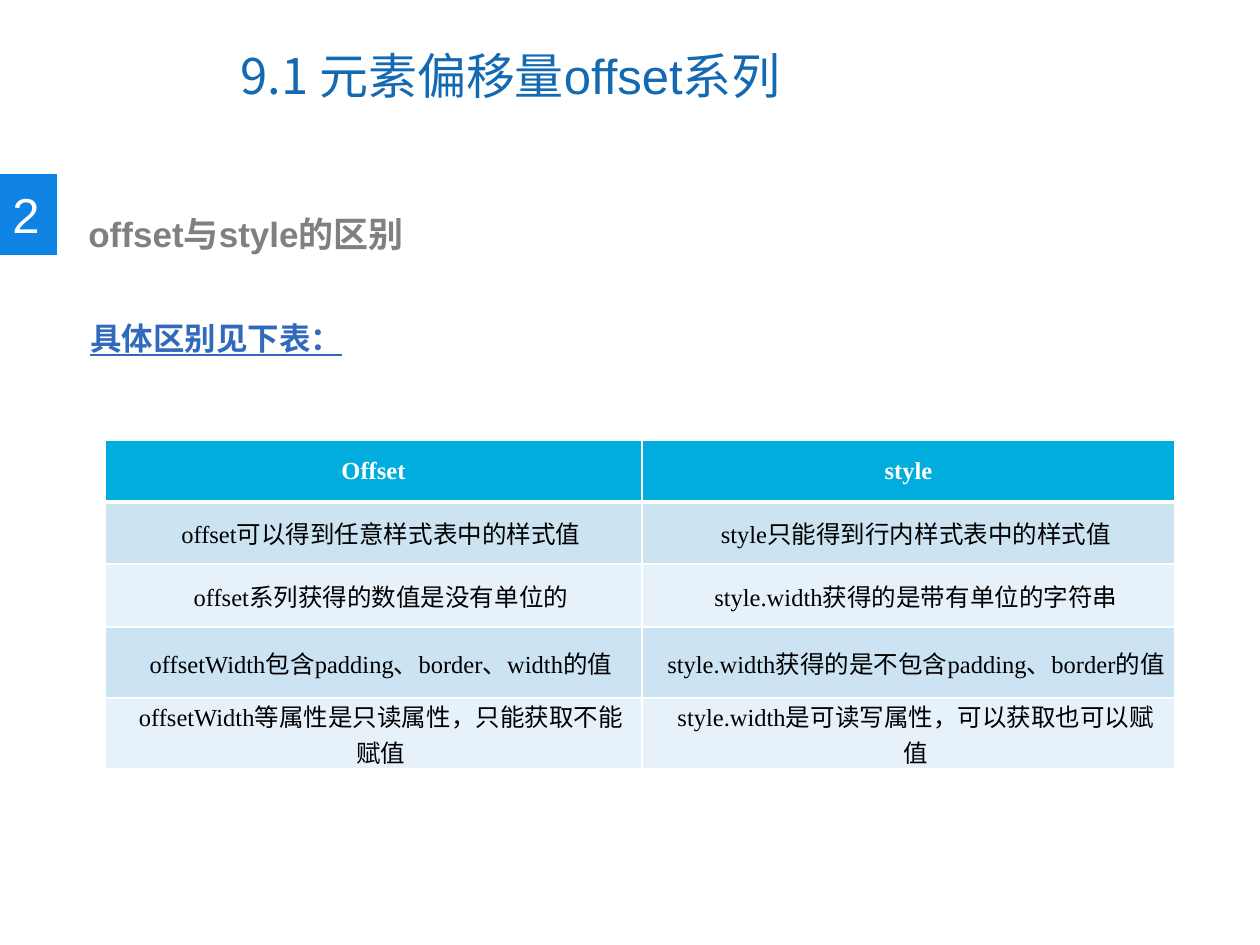
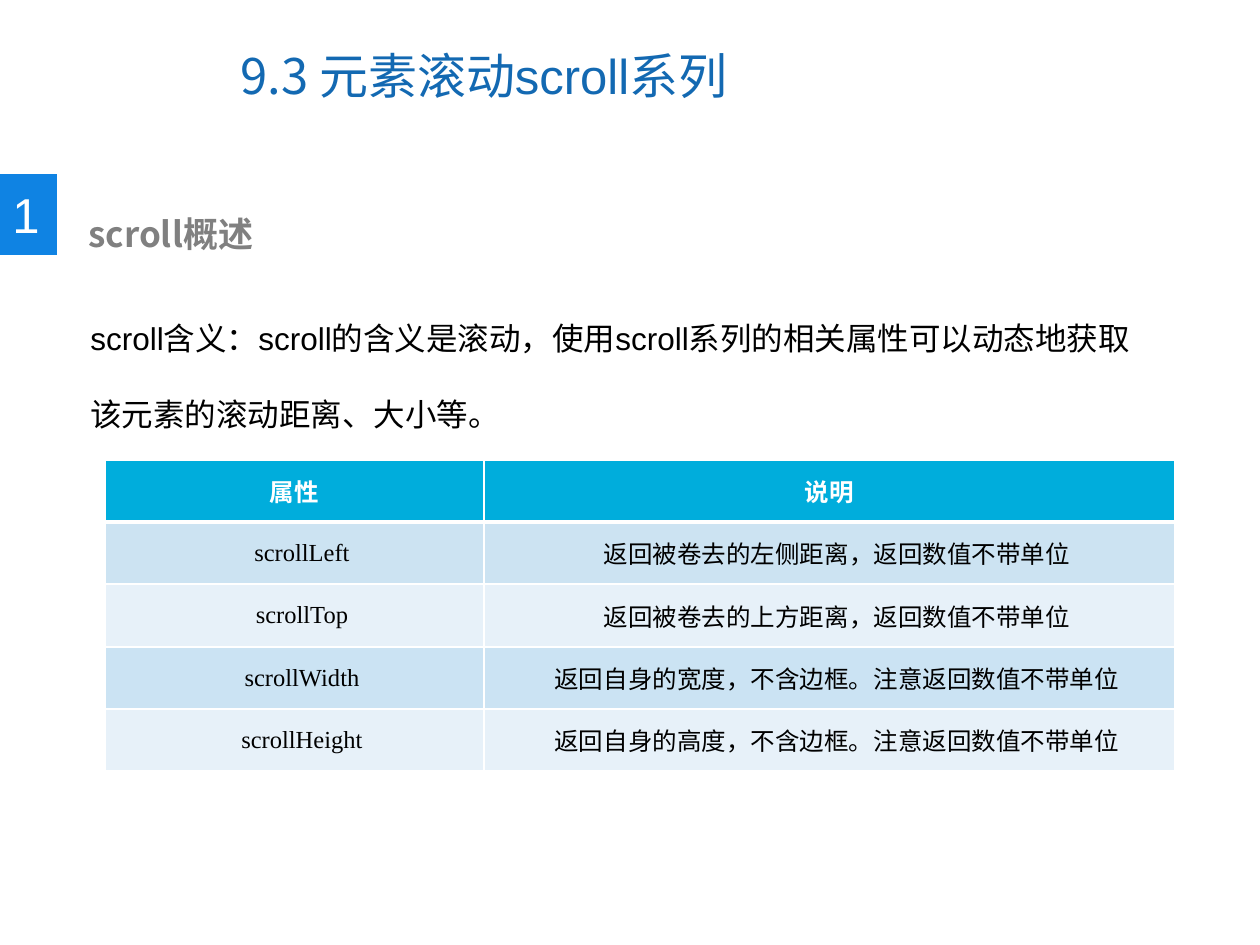
from dataclasses import dataclass

from lxml.etree import SubElement
from pptx import Presentation
from pptx.dml.color import RGBColor
from pptx.enum.shapes import MSO_SHAPE
from pptx.enum.text import MSO_ANCHOR, PP_ALIGN
from pptx.oxml.ns import qn
from pptx.util import Emu, Pt

EMU_PER_PX = 914400 / 126


@dataclass(frozen=True)
class Theme:
    # Colours
    title: str = "1369B2"
    badge: str = "0F83E3"
    heading: str = "808080"
    emphasis: str = "3169BD"
    text: str = "000000"
    white: str = "FFFFFF"
    row_fills: tuple = ("00ADDC", "CCE3F2", "E7F1F9", "CBE3F3", "E7F1F9")
    # Type sizes in points
    title_size: int = 28
    heading_size: int = 20
    body_size: int = 18
    table_size: int = 14
    # Fonts
    latin: str = "Arial"
    chinese: str = "Noto Sans CJK SC"
    serif: str = "Times New Roman"


THEME = Theme()


def px(length):
    return Emu(round(length * EMU_PER_PX))


def write_text(frame, text, *, size, color, font=THEME.latin, bold=False,
               underline=False, align=PP_ALIGN.LEFT, spacing=None, indent=0):
    """Fill the frame with a string, or with a list of (string, font) runs."""
    paragraph = frame.paragraphs[0]
    paragraph.alignment = align
    if spacing:
        paragraph.line_spacing = spacing
    if indent:
        paragraph._p.get_or_add_pPr().set("marL", str(px(indent)))
    for words, face in [(text, font)] if isinstance(text, str) else text:
        run = paragraph.add_run()
        run.text = words
        run.font.name = face
        run.font.size = Pt(size)
        run.font.bold = bold
        run.font.underline = underline
        run.font.color.rgb = RGBColor.from_string(color)
        SubElement(run._r.get_or_add_rPr(), qn("a:ea"), typeface=THEME.chinese)


def add_text(shapes, box, text, *, wrap=True, anchor=MSO_ANCHOR.TOP, **text_format):
    frame = shapes.add_textbox(*map(px, box)).text_frame
    frame.word_wrap = wrap
    frame.vertical_anchor = anchor
    write_text(frame, text, **text_format)


def add_title(slide, title):
    add_text(slide.shapes, (228, 21, 650, 107), title, anchor=MSO_ANCHOR.MIDDLE,
             size=THEME.title_size, color=THEME.title)


def add_section(slide, number, heading, font):
    # Numbered badge at the left edge
    badge = slide.shapes.add_group_shape().shapes
    square = badge.add_shape(MSO_SHAPE.RECTANGLE, *map(px, (0, 174, 57, 81)))
    square.shadow.inherit = False
    square.fill.solid()
    square.fill.fore_color.rgb = RGBColor.from_string(THEME.badge)
    square.line.fill.background()
    add_text(badge, (0, 178, 52, 72), number, wrap=False,
             size=THEME.title_size, color=THEME.white)
    # Section heading
    add_text(slide.shapes, (76, 206, 577, 55), heading, font=font, bold=True,
             size=THEME.heading_size, color=THEME.heading)


def add_body(slide, text, height, color=THEME.text, **text_format):
    add_text(slide.shapes, (78, 275, 1090, height), text, spacing=2.0,
             size=THEME.body_size, color=color, **text_format)


def add_borders(cell, **widths):
    properties = cell._tc.get_or_add_tcPr()
    for side in "LRTB":
        line = SubElement(properties, qn(f"a:ln{side}"), w=str(Pt(widths.get(side, 1))))
        fill = SubElement(line, qn("a:solidFill"))
        SubElement(fill, qn("a:srgbClr"), val=THEME.white)


def add_property_table(slide, top, column_widths, row_heights, rows):
    table = slide.shapes.add_table(
        len(rows), len(column_widths), px(105), px(top),
        px(sum(column_widths)), px(sum(row_heights))
    ).table
    table.horz_banding = False
    for column, width in zip(table.columns, column_widths):
        column.width = px(width)
    for row, height in zip(table.rows, row_heights):
        row.height = px(height)
    for index, (row, texts, fill) in enumerate(zip(table.rows, rows, THEME.row_fills)):
        header = index == 0
        # A thick rule parts the header from the rows below it
        rule = {0: {"B": 3}, 1: {"T": 3}}.get(index, {})
        for cell, text in zip(row.cells, texts):
            add_borders(cell, **rule)
            cell.fill.solid()
            cell.fill.fore_color.rgb = RGBColor.from_string(fill)
            cell.margin_left = cell.margin_right = px(10)
            cell.margin_top = cell.margin_bottom = 0
            cell.vertical_anchor = MSO_ANCHOR.MIDDLE
            write_text(cell.text_frame, text, size=THEME.table_size,
                       color=THEME.white if header else THEME.text,
                       font=THEME.serif, bold=header, align=PP_ALIGN.CENTER,
                       indent=0 if header else 15)


def build_offset_slide(slide):
    add_title(slide, [("9.1 ", THEME.chinese), ("元素偏移量offset系列", THEME.latin)])
    add_section(slide, "2", "offset与style的区别", THEME.latin)
    add_body(slide, "具体区别见下表：", 89, color=THEME.emphasis, bold=True, underline=True)
    # The last two rows hold two lines each
    add_property_table(slide, 440, (537, 533), (62, 62, 63, 71, 71), [
        ("Offset", "style"),
        ("offset可以得到任意样式表中的样式值", "style只能得到行内样式表中的样式值"),
        ("offset系列获得的数值是没有单位的", "style.width获得的是带有单位的字符串"),
        ("offsetWidth包含padding、border、width的值",
         "style.width获得的是不包含padding、border的值"),
        ("offsetWidth等属性是只读属性，只能获取不能赋值",
         "style.width是可读写属性，可以获取也可以赋值"),
    ])


def build_scroll_slide(slide):
    add_title(slide, [("9.3 元素滚动", THEME.chinese), ("scroll", THEME.latin),
                      ("系列", THEME.chinese)])
    add_section(slide, "1", "scroll概述", THEME.chinese)
    add_body(slide, "scroll含义：scroll的含义是滚动，使用scroll系列的相关属性"
                    "可以动态地获取该元素的滚动距离、大小等。", 154)
    add_property_table(slide, 460, (379, 691), (62, 62, 63, 62, 62), [
        ("属性", "说明"),
        ("scrollLeft", "返回被卷去的左侧距离，返回数值不带单位"),
        ("scrollTop", "返回被卷去的上方距离，返回数值不带单位"),
        ("scrollWidth", "返回自身的宽度，不含边框。注意返回数值不带单位"),
        ("scrollHeight", "返回自身的高度，不含边框。注意返回数值不带单位"),
    ])


def main():
    deck = Presentation()
    deck.slide_width, deck.slide_height = px(1260), px(945)
    blank = deck.slide_layouts[6]
    for build in (build_offset_slide, build_scroll_slide):
        build(deck.slides.add_slide(blank))
    deck.save("out.pptx")


if __name__ == "__main__":
    main()
